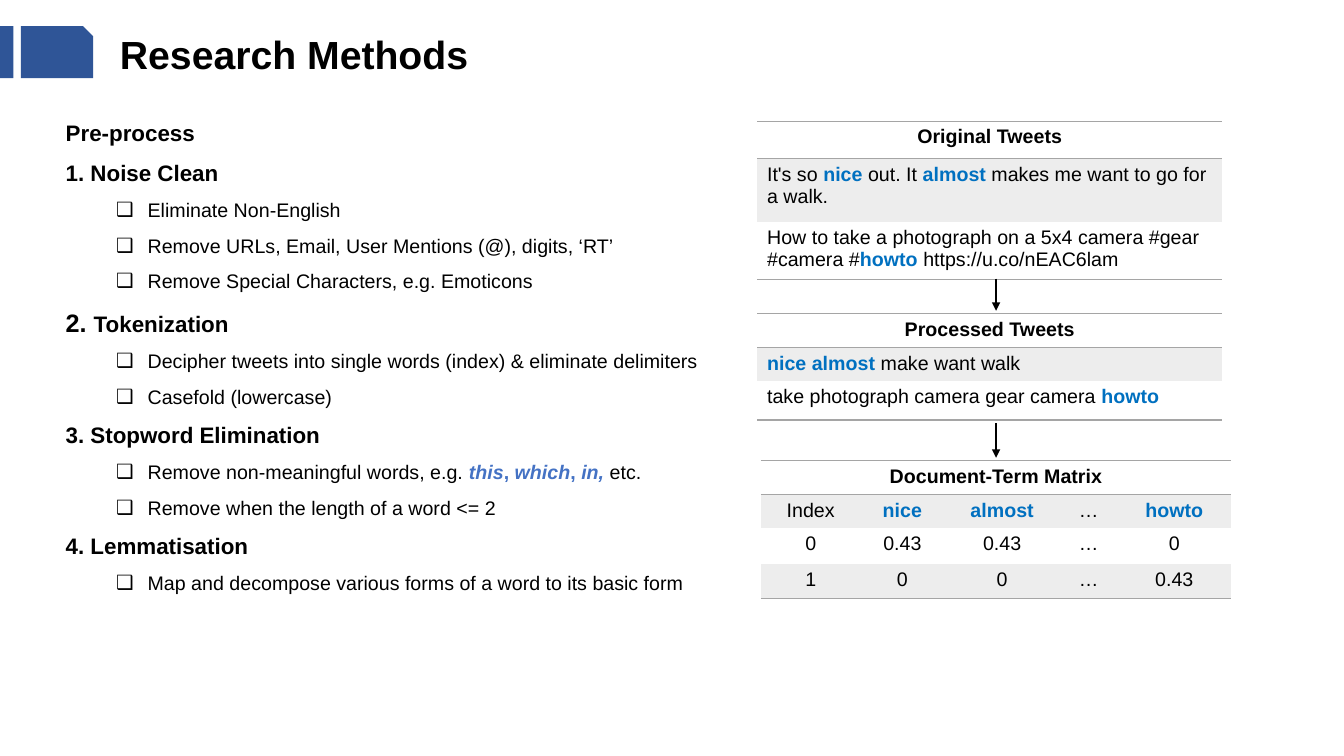
"""Build the Research Methods slide on tweet pre-processing."""
from dataclasses import dataclass

from lxml import etree
from pptx import Presentation
from pptx import util as u
from pptx.dml.color import RGBColor
from pptx.enum import shapes, text
from pptx.oxml import ns

Pt = u.Pt


@dataclass
class Theme:
    font: str = "Arial"
    black: str = "000000"
    navy: str = "2F5597"
    blue: str = "4472C4"
    sky: str = "0070C0"
    rule: str = "A5A5A5"
    band: str = "EDEDED"
    title: int = 28
    large: int = 18
    head: int = 16
    base: int = 14


def add(tag, node, **attrs):
    """Append a DrawingML child."""
    return etree.SubElement(node, ns.qn("a:" + tag), **attrs)


def write(para, words, size, bold=False, hue=Theme.black, slant=False):
    """Fill a paragraph, with the parts between asterisks in the accent."""
    font = para.font
    font.name, font.size, font.bold = Theme.font, Pt(size), bold
    font.color.rgb = RGBColor.from_string(Theme.black)
    for i, part in enumerate(words.split("*")):
        if part:
            run = para.add_run()
            run.text = part
            if i % 2:
                run.font.bold = True
                run.font.italic = slant and part != ", "
                run.font.color.rgb = RGBColor.from_string(hue)


deck = Presentation()
deck.slide_width, deck.slide_height = Pt(960), Pt(540)
slide = deck.slides.add_slide(deck.slide_layouts[1])
title, body = slide.placeholders

for left, width, snip in [(15, 51.5, 0.193), (0, 9.5, 0)]:
    badge = slide.shapes.add_shape(
        shapes.MSO_SHAPE.SNIP_1_RECTANGLE, Pt(left), Pt(18.75), Pt(width), Pt(37))
    badge.adjustments[0] = snip
    badge.shadow.inherit = False
    badge.fill.solid()
    badge.fill.fore_color.rgb = RGBColor.from_string(Theme.navy)
    badge.line.fill.background()

boxes = [(title, 78.5, 18, 300, 41), (body, 39.75, 72, 607.5, 405)]
for box, left, top, width, height in boxes:
    box.left, box.top, box.width, box.height = map(Pt, (left, top, width, height))
    box.text_frame.word_wrap = True
    box.text_frame.auto_size = text.MSO_AUTO_SIZE.NONE

name = title.text_frame.paragraphs[0]
name.alignment = text.PP_ALIGN.LEFT
write(name, "Research Methods", Theme.title, True)

steps = [
    ("Pre-process", []),
    ("1. Noise Clean", [
        "Eliminate Non-English",
        "Remove URLs, Email, User Mentions (@), digits, ‘RT’",
        "Remove Special Characters, e.g. Emoticons"]),
    ("2. *Tokenization*", [
        "Decipher tweets into single words (index) & eliminate delimiters",
        "Casefold (lowercase)"]),
    ("3. Stopword Elimination", [
        "Remove non-meaningful words, e.g. *this**, **which**, **in, *etc.",
        "Remove when the length of a word <= 2"]),
    ("4. Lemmatisation", [
        "Map and decompose various forms of a word to its basic form"]),
]
frame = body.text_frame
para = frame.paragraphs[0]
for head, items in steps:
    if head != steps[0][0]:
        para = frame.add_paragraph()
    para.line_spacing, para.space_before = 1.5, Pt(0)
    props = para._p.get_or_add_pPr()
    props.set("marL", "0")
    props.set("indent", "0")
    add("buNone", props)
    write(para, head, Theme.head, True)
    if "*" in head:
        para.runs[0].font.size = Pt(Theme.large)
    for item in items:
        para = frame.add_paragraph()
        para.level = 1
        para.line_spacing, para.space_before = 1.5, Pt(0)
        props = para._p.get_or_add_pPr()
        props.set("marL", str(Pt(58.5)))
        props.set("indent", str(Pt(-22.5)))
        add("buFont", props, typeface=Theme.font)
        add("buChar", props, char="❑")
        write(para, item, Theme.base, hue=Theme.blue, slant=True)

tables = [
    (540.75, 86.5, [332.5], [26.5, 45.5, 41], [
        ["Original Tweets"],
        ["It's so *nice* out. It *almost* makes me want to go for a walk."],
        ["How to take a photograph on a 5x4 camera #gear #camera "
         "#*howto* https://u.co/nEAC6lam"]]),
    (540.75, 224, [332.5], [24, 24, 28], [
        ["Processed Tweets"],
        ["*nice almost* make want walk"],
        ["take photograph camera gear camera *howto*"]]),
    (543.5, 329, [71.25, 59.75, 82.75, 41, 81.25], [24, 24, 26, 24.5], [
        ["Document-Term Matrix", "", "", "", ""],
        ["Index", "*nice*", "*almost*", "…", "*howto*"],
        ["0", "0.43", "0.43", "…", "0"],
        ["1", "0", "0", "…", "0.43"]]),
]
for left, top, cols, rows, data in tables:
    grid = slide.shapes.add_table(
        len(rows), len(cols), Pt(left), Pt(top), Pt(sum(cols)), Pt(sum(rows))).table
    grid.first_row = grid.horz_banding = False
    style = grid._tbl.tblPr.find(ns.qn("a:tableStyleId"))
    style.text = "{2D5ABB26-0587-4C30-8999-92F81FD0307C}"
    for col, width in zip(grid.columns, cols):
        col.width = Pt(width)
    last = len(rows) - 1
    for r, line in enumerate(data):
        grid.rows[r].height = Pt(rows[r])
        for c, words in enumerate(line):
            cell = grid.cell(r, c)
            props = cell._tc.get_or_add_tcPr()
            for side, drawn in [("lnT", r == 0), ("lnB", r in (0, last))]:
                if drawn:
                    edge = add(side, props, w=str(Pt(1)))
                    add("srgbClr", add("solidFill", edge), val=Theme.rule)
            if r % 2:
                cell.fill.solid()
                cell.fill.fore_color.rgb = RGBColor.from_string(Theme.band)
            else:
                cell.fill.background()
            para = cell.text_frame.paragraphs[0]
            if r == 0 or len(cols) > 1:
                para.alignment = text.PP_ALIGN.CENTER
            write(para, words, Theme.base, r == 0, Theme.sky)
    if len(cols) > 1:
        grid.cell(0, 0).merge(grid.cell(0, len(cols) - 1))

for start, end in [(199, 222), (302.5, 327)]:
    arrow = slide.shapes.add_connector(
        shapes.MSO_CONNECTOR.STRAIGHT, Pt(711.5), Pt(start), Pt(711.5), Pt(end))
    arrow.line.width = Pt(1.5)
    arrow.line.color.rgb = RGBColor.from_string(Theme.black)
    add("tailEnd", arrow.line._get_or_add_ln(), type="triangle")
    add("effectLst", arrow._element.spPr)

deck.save("out.pptx")
